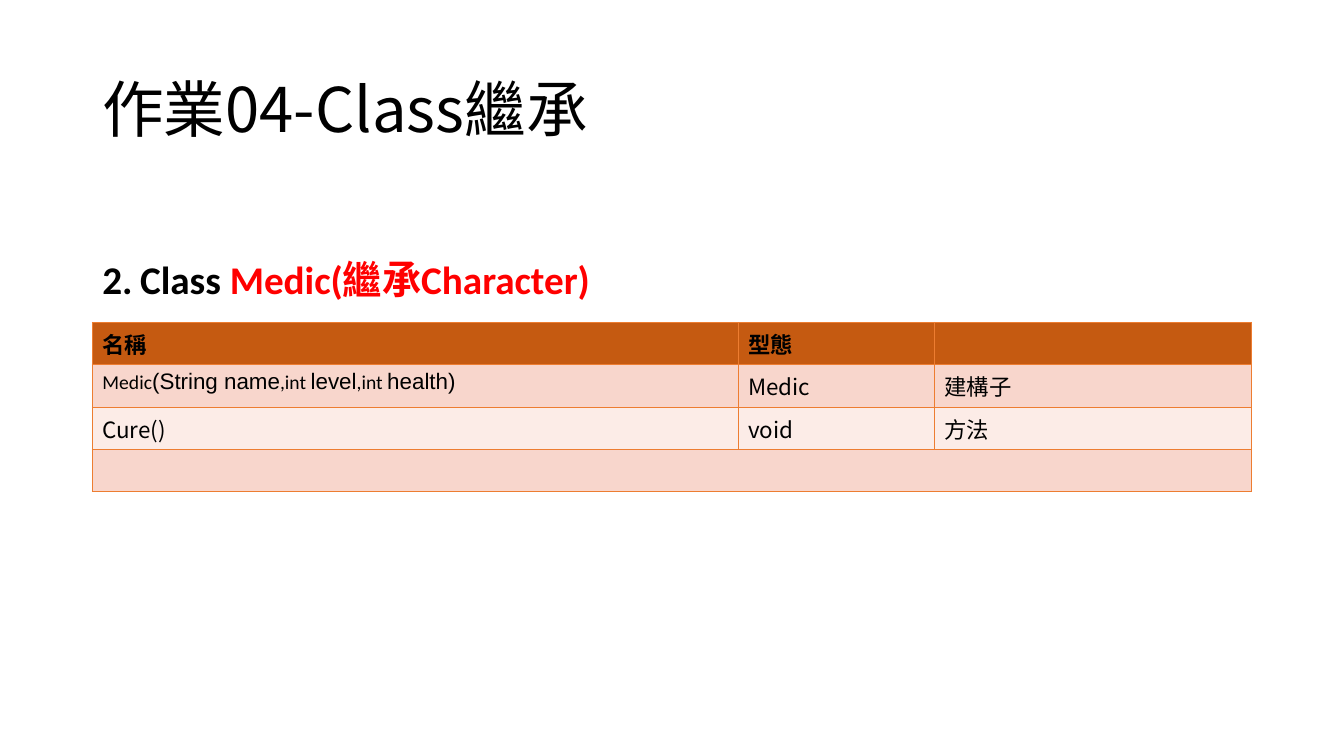
from dataclasses import dataclass

from lxml import etree
from pptx import Presentation
from pptx.dml.color import RGBColor
from pptx.enum.text import MSO_ANCHOR, MSO_AUTO_SIZE
from pptx.oxml.ns import qn
from pptx.util import Emu, Pt

MIDDLE, TOP = MSO_ANCHOR.MIDDLE, MSO_ANCHOR.TOP
GROW, FIXED = MSO_AUTO_SIZE.SHAPE_TO_FIT_TEXT, MSO_AUTO_SIZE.NONE
PX = 9525
COLORS = {"text": "000000", "accent": "FF0000", "border": "ED7D31",
          "header": "C55A11", "dark_band": "F8D6CC", "light_band": "FCECE7"}
CJK, CALIBRI, ARIAL = "Noto Sans CJK TC", "Calibri", "Arial"
LEFT, WIDTH = 88, 1104
TABLE_TOP, ROW_HEIGHT = 307, 37
COLUMN_WIDTHS = (615, 187, 302)


@dataclass(frozen=True)
class Span:
    text: str
    size: int = 16
    font: str = CJK
    bold: bool = False
    color: str = "text"


@dataclass(frozen=True)
class TableRow:
    fill: str
    cells: tuple[tuple[Span, ...], ...]


def px(length: int) -> Emu:
    return Emu(length * PX)


def rgb(name: str) -> RGBColor:
    return RGBColor.from_string(COLORS[name])


def add_spans(paragraph, spans: tuple[Span, ...]) -> None:
    for span in spans:
        run = paragraph.add_run()
        run.text = span.text
        font_format = {"size": Pt(span.size), "bold": span.bold, "name": span.font}
        for attribute, value in font_format.items():
            setattr(run.font, attribute, value)
        run.font.color.rgb = rgb(span.color)
        etree.SubElement(run._r.get_or_add_rPr(), qn("a:ea"), typeface=CJK)


def add_text(slide, top: int, width: int, height: int, spans: tuple[Span, ...],
             anchor=TOP, auto_size=FIXED):
    """Add a one-paragraph text box at the left margin and return the paragraph."""
    frame = slide.shapes.add_textbox(px(LEFT), px(top), px(width), px(height)).text_frame
    frame_format = {"word_wrap": True, "auto_size": auto_size, "vertical_anchor": anchor}
    for attribute, value in frame_format.items():
        setattr(frame, attribute, value)
    paragraph = frame.paragraphs[0]
    add_spans(paragraph, spans)
    return paragraph


def number_paragraph(paragraph, start: int, indent: int) -> None:
    properties = paragraph._p.get_or_add_pPr()
    properties.set("marL", str(px(indent)))
    properties.set("indent", str(px(-indent)))
    color = etree.SubElement(properties, qn("a:buClr"))
    etree.SubElement(color, qn("a:srgbClr"), val=COLORS["text"])
    etree.SubElement(properties, qn("a:buFont"), typeface="+mj-lt")
    etree.SubElement(properties, qn("a:buAutoNum"), type="arabicPeriod", startAt=str(start))


def add_borders(cell) -> None:
    properties = cell._tc.get_or_add_tcPr()
    for side in ("lnL", "lnR", "lnT", "lnB"):
        line = etree.SubElement(properties, qn(f"a:{side}"), w=str(Pt(1)))
        fill = etree.SubElement(line, qn("a:solidFill"))
        etree.SubElement(fill, qn("a:srgbClr"), val=COLORS["border"])


def set_empty_size(paragraph, size: int) -> None:
    """Give an empty paragraph the line height of the table text."""
    end = etree.SubElement(paragraph._p, qn("a:endParaRPr"), sz=str(size * 100))
    for script in ("latin", "ea"):
        etree.SubElement(end, qn(f"a:{script}"), typeface=CJK)


def add_member_table(slide, rows: tuple[TableRow, ...]) -> None:
    table = slide.shapes.add_table(
        len(rows), len(COLUMN_WIDTHS), px(LEFT), px(TABLE_TOP),
        px(WIDTH), px(ROW_HEIGHT * len(rows))).table
    table.first_row = table.horz_banding = False
    for column, width in zip(table.columns, COLUMN_WIDTHS):
        column.width = px(width)
    for row, content in zip(table.rows, rows):
        row.height = px(ROW_HEIGHT)
        for cell, spans in zip(row.cells, content.cells):
            add_borders(cell)
            cell.fill.solid()
            cell.fill.fore_color.rgb = rgb(content.fill)
            paragraph = cell.text_frame.paragraphs[0]
            if spans:
                add_spans(paragraph, spans)
            else:
                set_empty_size(paragraph, 16)
    last = len(rows) - 1
    table.cell(last, 0).merge(table.cell(last, len(COLUMN_WIDTHS) - 1))


TITLE = (Span("作業04-Class繼承", 44),)
HEADING = (Span("Class ", 28, CALIBRI, True),
           Span("Medic(繼承Character)", 28, CALIBRI, True, "accent"))
CONSTRUCTOR = (Span("Medic", 14, CALIBRI), Span("(String name", font=ARIAL),
               Span(",int ", 14, CALIBRI), Span("level", font=ARIAL),
               Span(",int ", 14, CALIBRI), Span("health)", font=ARIAL))
MEMBERS = (
    TableRow("header", ((Span("名稱", bold=True),), (Span("型態", bold=True),), ())),
    TableRow("dark_band", (CONSTRUCTOR, (Span("Medic"),), (Span("建構子"),))),
    TableRow("light_band", ((Span("Cure()"),), (Span("void"),), (Span("方法"),))),
    TableRow("dark_band", ((), (), ())),
)


def main() -> None:
    presentation = Presentation()
    presentation.slide_width, presentation.slide_height = px(1280), px(720)
    slide = presentation.slides.add_slide(presentation.slide_layouts[6])
    title = add_text(slide, 38, WIDTH, 139, TITLE, anchor=MIDDLE)
    title.line_spacing = 0.9
    add_member_table(slide, MEMBERS)
    heading = add_text(slide, 238, 677, 55, HEADING, auto_size=GROW)
    number_paragraph(heading, start=2, indent=36)
    presentation.save("out.pptx")


if __name__ == "__main__":
    main()
